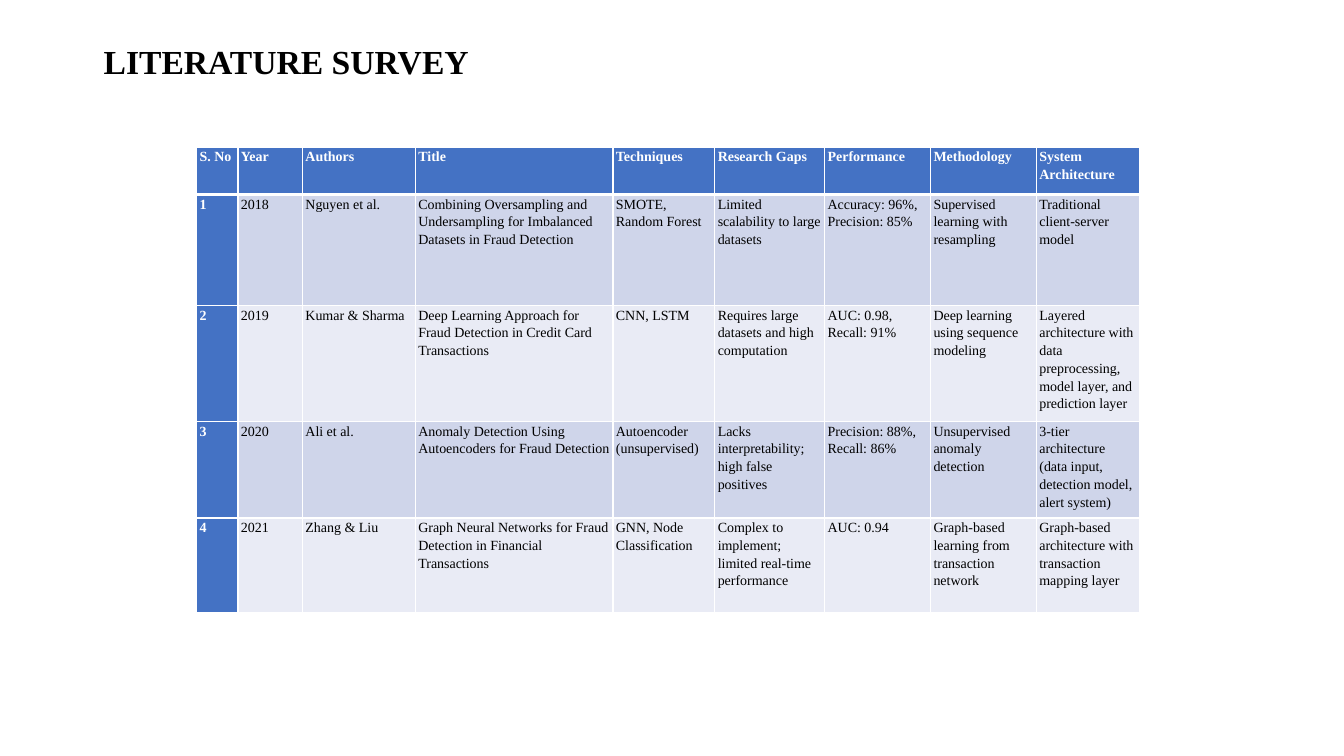
from lxml.etree import SubElement
from pptx import Presentation
from pptx.dml.color import RGBColor
from pptx.enum.text import MSO_ANCHOR
from pptx.oxml.ns import qn
from pptx.util import Inches, Pt

FONT = "Times New Roman"
COLORS = {
    "black": "000000",
    "white": "FFFFFF",
    "header": "4472C4",
    "odd_row": "CFD5EA",
    "even_row": "E9EBF5",
}
COLUMN_WIDTHS = [0.41, 0.64, 1.12, 1.96, 1.01, 1.09, 1.05, 1.05, 1.02]
ROW_HEIGHTS = [0.47, 1.1, 1.1, 0.94, 0.94]
SURVEY = [
    ["S. No", "Year", "Authors", "Title", "Techniques", "Research Gaps",
     "Performance", "Methodology", "System Architecture"],
    ["1", "2018", "Nguyen et al.",
     "Combining Oversampling and Undersampling for Imbalanced Datasets in Fraud Detection",
     "SMOTE, Random Forest", "Limited scalability to large datasets",
     "Accuracy: 96%, Precision: 85%", "Supervised learning with resampling",
     "Traditional client-server model"],
    ["2", "2019", "Kumar & Sharma",
     "Deep Learning Approach for Fraud Detection in Credit Card Transactions",
     "CNN, LSTM", "Requires large datasets and high computation",
     "AUC: 0.98, Recall: 91%", "Deep learning using sequence modeling",
     "Layered architecture with data preprocessing, model layer, and prediction layer"],
    ["3", "2020", "Ali et al.",
     "Anomaly Detection Using Autoencoders for Fraud Detection",
     "Autoencoder (unsupervised)", "Lacks interpretability; high false positives",
     "Precision: 88%, Recall: 86%", "Unsupervised anomaly detection",
     "3-tier architecture (data input, detection model, alert system)"],
    ["4", "2021", "Zhang & Liu",
     "Graph Neural Networks for Fraud Detection in Financial Transactions",
     "GNN, Node Classification", "Complex to implement; limited real-time performance",
     "AUC: 0.94", "Graph-based learning from transaction network",
     "Graph-based architecture with transaction mapping layer"],
]


def color(name):
    return RGBColor.from_string(COLORS[name])


def add_text(para, text, size, color_name, bold):
    span = para.add_run()
    span.text = text
    span.font.name = FONT
    span.font.size = Pt(size)
    span.font.bold = bold
    span.font.color.rgb = color(color_name)


def add_title(page, text):
    box = page.shapes.add_textbox(Inches(0.93), Inches(-0.27), Inches(11.5), Inches(1.8))
    frame = box.text_frame
    frame.word_wrap = True
    frame.vertical_anchor = MSO_ANCHOR.MIDDLE
    para = frame.paragraphs[0]
    para.line_spacing = 0.9
    add_text(para, text, 24, "black", True)


def set_borders(cell, top, bottom):
    properties = cell._tc.get_or_add_tcPr()
    widths = {"a:lnL": 1, "a:lnR": 1, "a:lnT": top, "a:lnB": bottom}
    for position, (side, width) in enumerate(widths.items()):
        line = SubElement(properties, qn(side), w=str(Pt(width)))
        fill = SubElement(line, qn("a:solidFill"))
        SubElement(fill, qn("a:srgbClr"), val=COLORS["white"])
        properties.insert(position, line)


def fill_cell(cell, text, row, column):
    heading = row == 0 or column == 0
    band = "odd_row" if row % 2 else "even_row"
    cell.fill.solid()
    cell.fill.fore_color.rgb = color("header" if heading else band)
    cell.margin_left = cell.margin_right = Inches(0.03)
    cell.margin_top = cell.margin_bottom = 0
    para = cell.text_frame.paragraphs[0]
    para.line_spacing = 1.15
    para.space_after = Pt(10)
    add_text(para, text, 10, "white" if heading else "black", heading)
    set_borders(cell, 3 if row == 1 else 1, 3 if row == 0 else 1)


def add_survey_table(page):
    frame = page.shapes.add_table(
        len(ROW_HEIGHTS), len(COLUMN_WIDTHS), Inches(1.95), Inches(1.46),
        Inches(sum(COLUMN_WIDTHS)), Inches(sum(ROW_HEIGHTS)))
    table = frame.table
    table.first_col = True
    for column, width in zip(table.columns, COLUMN_WIDTHS):
        column.width = Inches(width)
    for row, height in zip(table.rows, ROW_HEIGHTS):
        row.height = Inches(height)
    for row, texts in enumerate(SURVEY):
        for column, text in enumerate(texts):
            fill_cell(table.cell(row, column), text, row, column)


def main():
    deck = Presentation()
    deck.slide_width = Inches(13.33)
    deck.slide_height = Inches(7.5)
    page = deck.slides.add_slide(deck.slide_layouts[6])
    add_title(page, "LITERATURE SURVEY")
    add_survey_table(page)
    deck.save("out.pptx")


if __name__ == "__main__":
    main()
